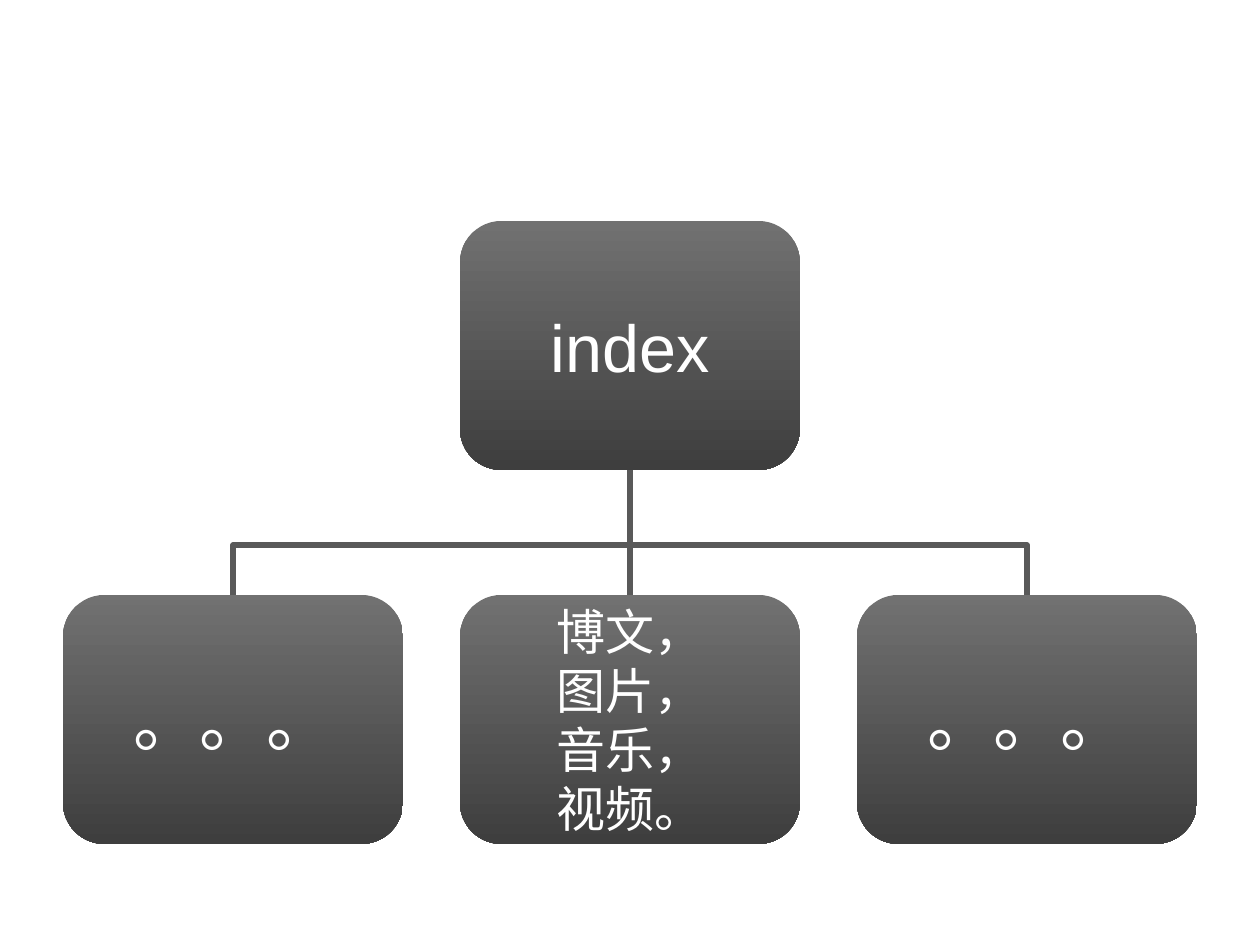
from lxml.etree import SubElement
from pptx import Presentation
from pptx.dml.color import RGBColor
from pptx.enum.shapes import MSO_CONNECTOR as Link, MSO_SHAPE as Shape
from pptx.enum.text import MSO_ANCHOR as Anchor, PP_ALIGN as Align
from pptx.oxml.ns import qn
from pptx.util import Pt

EMU_PER_PX = 914400 / 126
COLORS = {"top": "717171", "bottom": "3E3E3E", "link": "595959", "text": "FFFFFF"}
FONT = "Arial"
BOX_W, BOX_H = 340, 249
CENTER_X, PITCH = 460, 397
ROOT_Y, CHILD_Y = 221, 595
TOP_SITE, BOTTOM_SITE = 0, 2


def px(length):
    return round(length * EMU_PER_PX)


def color(name):
    return RGBColor.from_string(COLORS[name])


class Chart:
    def __init__(self, slide):
        self.slide = slide

    def node(self, x, y, lines, size):
        box = self.slide.shapes.add_shape(
            Shape.ROUNDED_RECTANGLE, px(x), px(y), px(BOX_W), px(BOX_H))
        box.shadow.inherit = False
        box.line.fill.background()
        box.fill.gradient()
        box.fill.gradient_angle = 270
        for stop, name in zip(box.fill.gradient_stops, ("top", "bottom")):
            stop.color.rgb = color(name)

        frame = box.text_frame
        frame.word_wrap = True
        frame.vertical_anchor = Anchor.MIDDLE
        frame.text = "\n".join(lines)
        for paragraph in frame.paragraphs:
            paragraph.alignment = Align.CENTER
            paragraph.font.name = FONT
            paragraph.font.size = Pt(size)
            paragraph.font.color.rgb = color("text")
        return box

    def link(self, child, parent):
        """Join the top of child to the bottom of parent."""
        straight = child.left == parent.left
        kind = Link.STRAIGHT if straight else Link.ELBOW
        line = self.slide.shapes.add_connector(kind, 0, 0, 0, 0)
        line.begin_connect(child, TOP_SITE)
        line.end_connect(parent, BOTTOM_SITE)
        line.line.color.rgb = color("link")
        line.line.width = Pt(3)
        SubElement(line._element.spPr, qn("a:effectLst"))
        if not straight:
            self.turn_upright(line)

    def turn_upright(self, line):
        """Turn an elbow a quarter so that it leaves and arrives vertically."""
        from_left = line.begin_x < line.end_x
        mid_x = (line.begin_x + line.end_x) // 2
        mid_y = (line.begin_y + line.end_y) // 2
        line.width, line.height = line.height, line.width
        line.left = mid_x - line.width // 2
        line.top = mid_y - line.height // 2
        xfrm = line._element.spPr.find(qn("a:xfrm"))
        xfrm.set("rot", "5400000")
        xfrm.set("flipH", "1")
        xfrm.set("flipV", "1" if from_left else "0")
        line._element.spPr.find(qn("a:prstGeom")).get_or_add_avLst()
        bends = line._element.spPr.find(qn("a:prstGeom")).find(qn("a:avLst"))
        SubElement(bends, qn("a:gd"), name="adj1", fmla="val 40000")


def main():
    deck = Presentation()
    deck.slide_width, deck.slide_height = px(1260), px(945)
    chart = Chart(deck.slides.add_slide(deck.slide_layouts[6]))

    index = chart.node(CENTER_X, ROOT_Y, ["index"], 38)
    children = [
        (["。。。"], 38),
        (["博文，", "图片，", "音乐，", "视频。"], 28),
        (["。。。"], 38),
    ]
    for column, (lines, size) in enumerate(children, start=-1):
        child = chart.node(CENTER_X + column * PITCH, CHILD_Y, lines, size)
        chart.link(child, index)

    deck.save("out.pptx")


if __name__ == "__main__":
    main()
